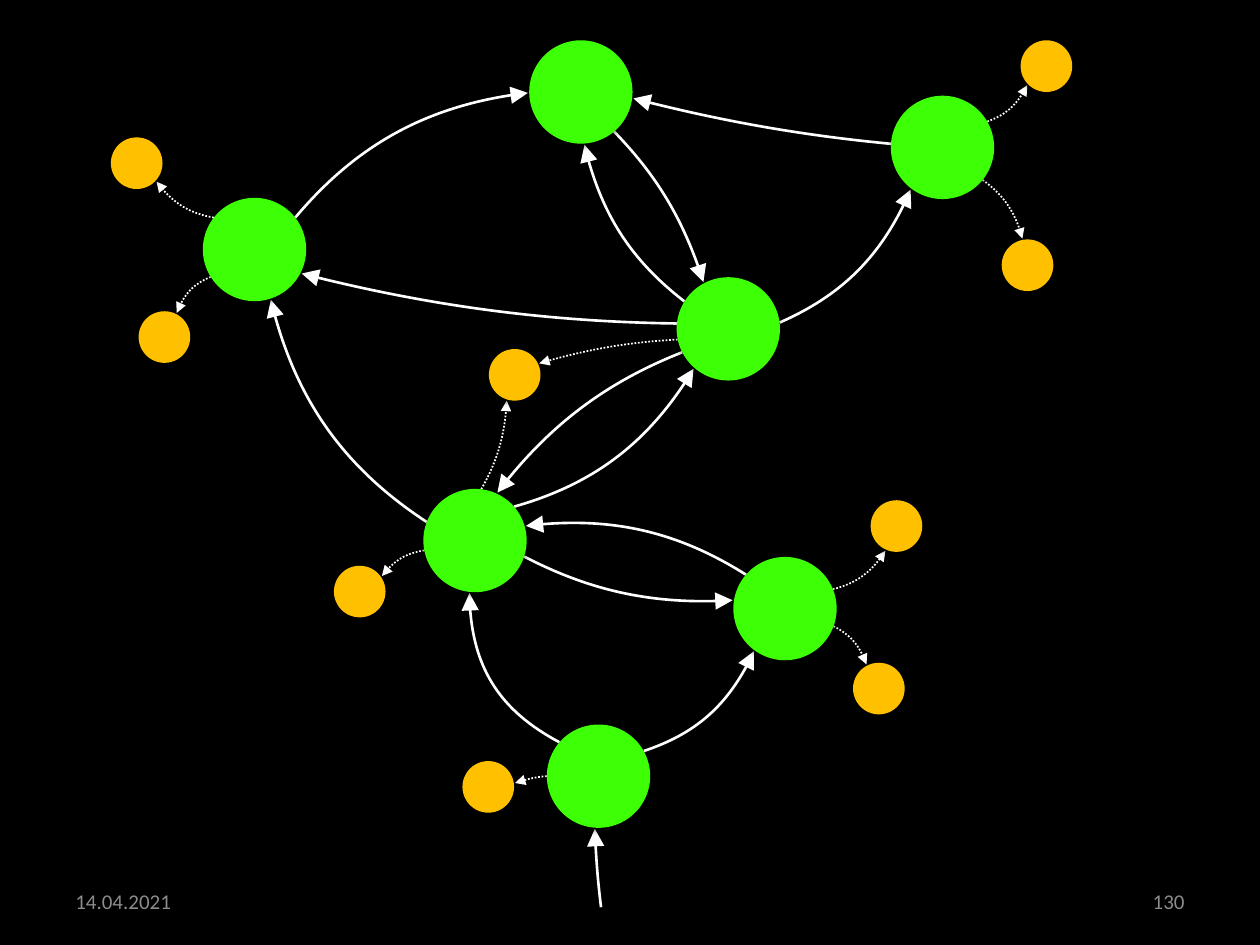
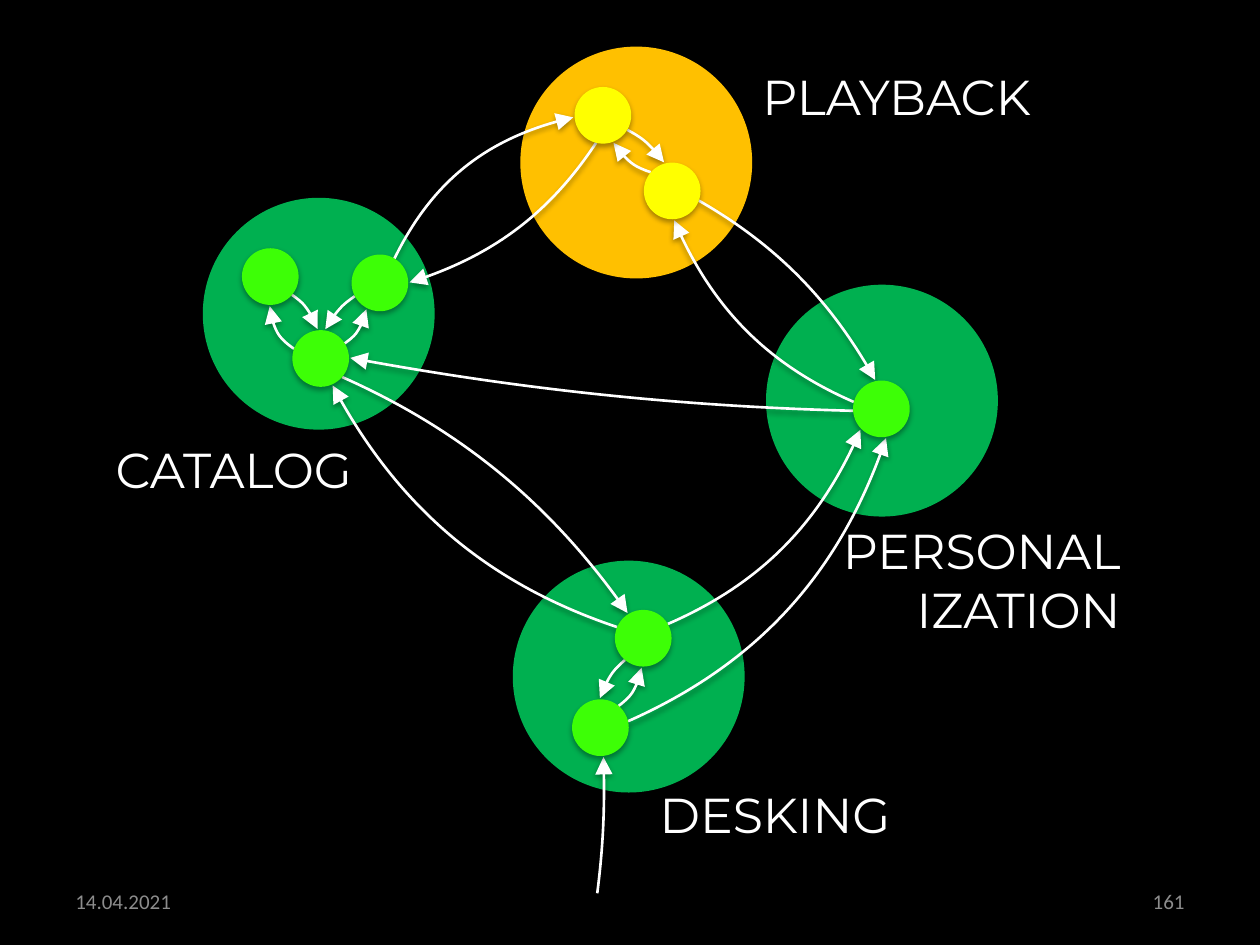
from dataclasses import dataclass
from math import cos, radians, sin
from typing import NamedTuple

from lxml import etree
from pptx import Presentation
from pptx import util as u
from pptx.dml import color
from pptx.enum import dml, shapes, text
from pptx.oxml import ns

PX = 9144
WIDE, HIGH = 1000, 750
GAP = 1
BLACK, WHITE, GREY = "000000", "FFFFFF", "8C8C8C"
AMBER, LIME, GREEN, YELLOW = "FFC000", "3DFF06", "00B050", "FFFF00"
DATE = "14.04.2021"
LEFT, MID, RIGHT = text.PP_ALIGN.LEFT, text.PP_ALIGN.CENTER, text.PP_ALIGN.RIGHT
Point = tuple[float, float]


@dataclass
class Ball:
    x: int
    y: int
    size: int
    fill: str = LIME

    def rim(self, angle: int, gap: int = 0) -> Point:
        half = self.size / 2
        turn = radians(angle)
        reach = half + gap
        return self.x + half + reach * cos(turn), self.y + half + reach * sin(turn)


class Link(NamedTuple):
    source: str
    target: str
    leave: int
    enter: int
    bow: int


@dataclass
class Label:
    words: str
    x: int
    y: int
    w: int
    h: int
    align: text.PP_ALIGN
    font: str = "Montserrat"
    size: int = 28
    fill: str = WHITE
    fixed: bool = False


Balls = dict[str, Ball]


def group(size: int, fill: str, **spots: tuple[int, int]) -> Balls:
    return {name: Ball(x, y, size, fill) for name, (x, y) in spots.items()}


HUBS = group(
    82, LIME,
    west=(161, 157), east=(707, 76), core=(537, 220), side=(582, 442),
    top=(420, 32), base=(434, 575), heart=(336, 388),
)
LEAVES = group(
    41, AMBER,
    west_up=(88, 109), west_down=(110, 247), heart_left=(265, 449),
    side_up=(691, 397), side_down=(677, 526), base_left=(367, 604),
    east_up=(810, 32), east_down=(795, 190), shared=(388, 277),
)
GRAPH_GATE = {"gate": Ball(477, 720, 0)}
GRAPH_LINKS = [
    Link("gate", "base", 0, 94, -1),
    Link("base", "heart", -139, 96, -15),
    Link("base", "side", -29, 126, 11),
    Link("side", "heart", -139, -16, 9),
    Link("heart", "side", 18, -171, 7),
    Link("heart", "core", -41, 131, 10),
    Link("core", "heart", 153, -65, 7),
    Link("heart", "west", -159, 72, -10),
    Link("core", "west", -174, 27, -3),
    Link("core", "east", -7, 127, 10),
    Link("core", "top", -148, 86, -9),
    Link("top", "core", 50, -118, -6),
    Link("west", "top", -38, 179, -10),
    Link("east", "top", -176, 7, -2),
    Link("west", "west_up", -142, 43, -10),
    Link("west", "west_down", 148, -63, 11),
    Link("heart", "heart_left", 169, -35, 10),
    Link("heart", "shared", -83, 107, 6),
    Link("core", "shared", 168, -25, 3),
    Link("side", "side_up", -22, 114, 10),
    Link("side", "side_down", 20, -117, -10),
    Link("base", "base_left", 180, -8, 3),
    Link("east", "east_up", -30, 135, 10),
    Link("east", "east_down", 39, -101, -9),
]

ZONES = group(184, GREEN, person=(608, 226), desking=(407, 445), catalog=(161, 157))
ZONES |= group(184, AMBER, playback=(413, 37))
NODES = group(
    45, LIME,
    cat_left=(192, 197), cat_right=(279, 202), cat_low=(232, 262),
    desk_up=(488, 484), desk_low=(454, 555), person=(677, 302),
)
NODES |= group(45, YELLOW, play_up=(456, 69), play_low=(511, 129))
ZONE_GATE = {"gate": Ball(474, 709, 0)}
ZONE_LINKS = [
    Link("gate", "desk_low", 0, 84, 2),
    Link("desk_low", "desk_up", -50, 93, 10),
    Link("desk_up", "desk_low", 130, -91, 7),
    Link("desk_low", "person", -13, 81, 11),
    Link("desk_up", "person", -30, 135, 10),
    Link("desk_up", "cat_low", -157, 66, -10),
    Link("cat_low", "desk_up", 41, -122, -7),
    Link("cat_low", "cat_left", -160, 91, -12),
    Link("cat_left", "cat_low", 40, -96, -8),
    Link("cat_low", "cat_right", -32, 117, 10),
    Link("cat_right", "cat_low", 152, -81, 6),
    Link("cat_right", "play_up", -59, 176, -12),
    Link("play_up", "cat_right", 104, -1, -9),
    Link("play_up", "play_low", 31, -106, -6),
    Link("play_low", "play_up", -139, 69, -9),
    Link("play_low", "person", 20, -102, -7),
    Link("person", "play_low", -166, 86, -10),
    Link("person", "cat_low", 176, -1, -2),
]
LABELS = [
    Label("PERSONAL\nIZATION", 647, 408, 252, 104, RIGHT),
    Label("PLAYBACK", 583, 48, 257, 57, MID),
    Label("CATALOG", 63, 344, 226, 57, RIGHT),
    Label("DESKING", 510, 618, 210, 57, MID),
]


def px(num: float) -> u.Emu:
    return u.Emu(round(num * PX))


def paint(code: str) -> color.RGBColor:
    return color.RGBColor.from_string(code)


def shade(shape) -> None:
    shape.shadow.inherit = False
    glow = shape._element.spPr.find(ns.qn("a:effectLst"))
    drop = etree.SubElement(glow, ns.qn("a:outerShdw"), blurRad="39370", dist="22860",
                            dir="5400000", rotWithShape="0")
    tint = etree.SubElement(drop, ns.qn("a:srgbClr"), val=BLACK)
    etree.SubElement(tint, ns.qn("a:alpha"), val="35000")


def draw_balls(slide, balls: Balls) -> None:
    for ball in balls.values():
        side = px(ball.size)
        oval = slide.shapes.add_shape(shapes.MSO_SHAPE.OVAL, px(ball.x), px(ball.y), side, side)
        oval.fill.solid()
        oval.fill.fore_color.rgb = paint(ball.fill)
        oval.line.fill.background()
        shade(oval)


def bow_points(start: Point, end: Point, bow: int) -> list[Point]:
    (x, y), (far_x, far_y) = start, end
    dx, dy = far_x - x, far_y - y
    lift = bow / 100 * 4 / 3
    pulls = [(x + dx * part - dy * lift, y + dy * part + dx * lift) for part in (1 / 3, 2 / 3)]
    return [start, *pulls, end]


def add_curve(slide, points: list[Point]):
    first, *rest = [(px(x), px(y)) for x, y in points]
    pen = slide.shapes.build_freeform(*first)
    pen.add_line_segments(rest, close=False)
    curve = pen.convert_to_shape()
    geo = curve._element.xpath(".//a:path")[0]
    legs = list(geo)[1:]
    arc = etree.SubElement(geo, ns.qn("a:cubicBezTo"))
    for leg in legs:
        arc.append(leg[0])
        geo.remove(leg)
    return curve


def draw_link(slide, link: Link, balls: Balls, dotted: bool) -> None:
    start = balls[link.source].rim(link.leave)
    end = balls[link.target].rim(link.enter, GAP)
    curve = add_curve(slide, bow_points(start, end, link.bow))
    curve.fill.background()
    curve.line.width = u.Pt(1 if dotted else 1.5)
    curve.line.color.rgb = paint(WHITE)
    if dotted:
        curve.line.dash_style = dml.MSO_LINE.ROUND_DOT
    size = "med" if dotted else "lg"
    etree.SubElement(curve.line._get_or_add_ln(), ns.qn("a:tailEnd"),
                     type="triangle", w=size, len=size)
    shade(curve)


def draw_label(slide, label: Label) -> None:
    box = slide.shapes.add_textbox(px(label.x), px(label.y), px(label.w), px(label.h))
    frame = box.text_frame
    frame.word_wrap = label.fixed
    if label.fixed:
        frame.vertical_anchor = text.MSO_ANCHOR.MIDDLE
    else:
        frame.auto_size = text.MSO_AUTO_SIZE.SHAPE_TO_FIT_TEXT
    para = frame.paragraphs[0]
    para.text = label.words
    para.alignment = label.align
    para.font.name = label.font
    para.font.size = u.Pt(label.size)
    para.font.color.rgb = paint(label.fill)


def add_slide(deck, number: str):
    slide = deck.slides.add_slide(deck.slide_layouts[6])
    back = slide.background.fill
    back.solid()
    back.fore_color.rgb = paint(BLACK)
    for words, x, align in ((DATE, 50, LEFT), (number, 717, RIGHT)):
        draw_label(slide, Label(words, x, 695, 233, 40, align, "Calibri", 12, GREY, True))
    return slide


def draw_graph(deck) -> None:
    slide = add_slide(deck, "130")
    balls = LEAVES | HUBS
    for link in GRAPH_LINKS:
        draw_link(slide, link, balls | GRAPH_GATE, dotted=link.target in LEAVES)
    draw_balls(slide, balls)


def draw_zones(deck) -> None:
    slide = add_slide(deck, "161")
    draw_balls(slide, ZONES)
    for link in ZONE_LINKS:
        draw_link(slide, link, NODES | ZONE_GATE, dotted=False)
    draw_balls(slide, NODES)
    for label in LABELS:
        draw_label(slide, label)


def main() -> None:
    deck = Presentation()
    deck.slide_width, deck.slide_height = px(WIDE), px(HIGH)
    draw_graph(deck)
    draw_zones(deck)
    deck.save("out.pptx")


if __name__ == "__main__":
    main()
